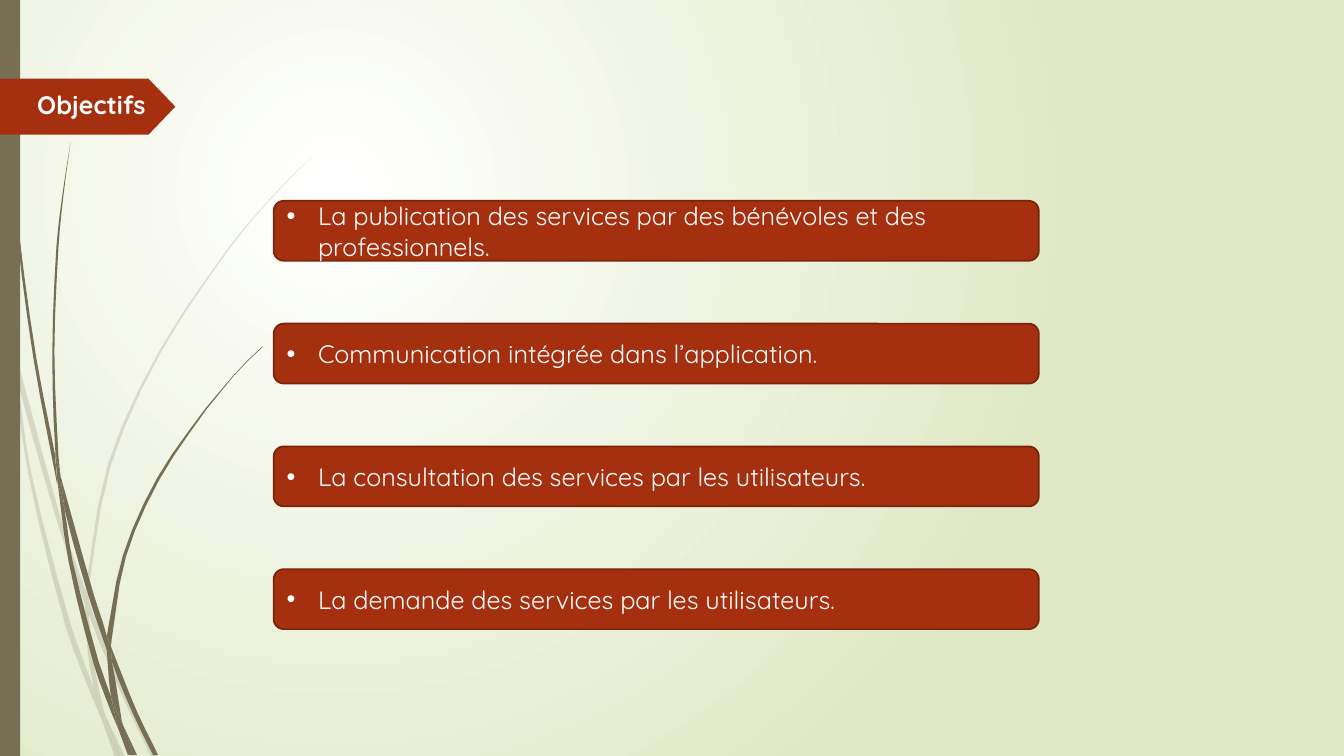
from pptx import Presentation
from pptx.dml.color import RGBColor
from pptx.enum.shapes import MSO_SHAPE
from pptx.enum.text import MSO_ANCHOR, PP_ALIGN
from pptx.oxml import parse_xml
from pptx.oxml.ns import nsdecls
from pptx.util import Pt

# Content
TITLE = "Objectifs"
GOALS = [
    "La publication des services par des bénévoles et des professionnels.",
    "Communication intégrée dans l’application.",
    "La consultation des services par les utilisateurs.",
    "La demande des services par les utilisateurs.",
]

# Style
FONT = "Quicksand"
WHITE, GREEN, OLIVE, RUST, DARK_RUST = "FFFFFF", "DFE8C4", "766F54", "A53010", "7A240C"
WIDTH, HEIGHT = 960, 540

# Blades of grass: left edge and right edge, each from top to bottom
PALE_BLADES = [
    ([(0, 215.3), (7.2, 247.7), (7.9, 252)], [(0, 203), (6.5, 231.8), (7.9, 252)]),
    ([(10.1, 248.4), (12.2, 270.7), (41.8, 375.8), (60.5, 431.3)],
     [(10.1, 248.4), (44.6, 374.4), (61.2, 421.9)]),
    ([(63.4, 429.1), (63.4, 439.2), (88.6, 499.7), (108, 540.7)],
     [(63.4, 429.1), (66.2, 437), (91.4, 498.2), (111.6, 540.7)]),
    ([(75.6, 511.9), (85.7, 540.7)], [(75.6, 511.9), (89.3, 540.7)]),
    ([(7.9, 252), (20.2, 338.4), (46.8, 447.1), (66.2, 499), (72.7, 514.1)],
     [(7.9, 252), (12.2, 270.7), (22.3, 337.7), (50.4, 445.7), (67, 491.8),
      (71.3, 509), (72.7, 514.1)]),
    ([(60.5, 431.3), (62.6, 465.1), (67, 491.8), (69.1, 498.2), (75.6, 511.9)],
     [(60.5, 431.3), (63.4, 439.2), (65.5, 465.1), (74.2, 508.3), (75.6, 511.9)]),
    ([(224.6, 110.2), (208.1, 126), (193, 141.8), (164.2, 175.7), (113.8, 250.6),
      (77, 331.9), (61.2, 420.5), (61.2, 421.9)],
     [(224.6, 110.2), (208.8, 126), (193, 142.6), (164.9, 176.4), (115.2, 251.3),
      (79.2, 332.6), (63.4, 420.5), (63.4, 429.1)]),
    ([(72.7, 514.1), (82.1, 540.7)], [(72.7, 514.1), (85.7, 540.7)]),
    ([(61.2, 421.9), (60.5, 431.3)], [(61.2, 421.9), (63.4, 429.1), (63.4, 439.2)]),
    ([(67, 491.8), (71.3, 509), (72.7, 514.1), (85.7, 540.7)],
     [(67, 491.8), (69.1, 498.2), (75.6, 511.9), (85.7, 540.7)]),
]
DARK_BLADES = [
    ([(2.2, 0), (2.9, 34.6), (5, 79.2), (12.2, 167.8), (23.8, 255.6), (40.3, 343.4),
      (41, 346.3)],
     [(2.9, 0), (3.6, 34.6), (5.8, 78.5), (13.7, 167), (25.9, 255.6), (39.6, 326.2),
      (39.6, 329), (41, 346.3)]),
    ([(43.2, 339.8), (46.1, 363.6), (63.4, 426.2), (76.3, 464.4)],
     [(43.2, 339.8), (67, 424.8), (76.3, 454.3), (76.3, 464.4)]),
    ([(79.2, 461.5), (79.9, 472.3), (95, 509.8), (109.4, 539.3)],
     [(79.2, 461.5), (81.4, 467.3), (97.9, 508.3), (113, 539.3)]),
    ([(41, 343.4), (49, 401), (67, 474.5), (79.9, 509.8), (84.2, 519.8)],
     [(41, 343.4), (46.1, 363.6), (51.8, 400.3), (70.6, 473), (79.2, 497.5),
      (83.5, 516.2), (84.2, 519.8)]),
    ([(50.4, 101.5), (44.6, 139), (40.3, 176.4), (37.4, 251.3), (39.6, 323.3),
      (43.2, 339.8)],
     [(50.4, 101.5), (45.4, 139), (41.8, 176.4), (38.9, 251.3), (41.8, 326.2),
      (43.2, 339.8)]),
    ([(87.8, 517.7), (95.8, 539.3)], [(87.8, 517.7), (97.9, 539.3)]),
    ([(39.6, 323.3), (39.6, 326.2), (41, 343.4), (46.1, 363.6)],
     [(39.6, 323.3), (43.2, 339.8), (46.1, 363.6)]),
    ([(187.2, 247.7), (176.4, 257.8), (166.3, 268.6), (146.9, 291.6), (112.3, 341.3),
      (87.8, 396.7), (76.3, 454.3)],
     [(187.9, 247.7), (176.4, 258.5), (166.3, 269.3), (147.6, 292.3), (113.8, 342.7),
      (90, 397.4), (79.9, 455.8), (79.2, 461.5)]),
    ([(84.2, 519.8), (91.4, 539.3)], [(84.2, 519.8), (94.3, 539.3)]),
    ([(76.3, 464.4), (79.2, 497.5), (83.5, 508.3), (87.8, 517.7)],
     [(76.3, 464.4), (79.9, 472.3), (87.1, 515.5), (87.8, 517.7)]),
    ([(76.3, 454.3), (76.3, 464.4)], [(76.3, 454.3), (79.2, 461.5), (79.9, 472.3)]),
    ([(79.2, 497.5), (83.5, 516.2), (84.2, 519.8), (93.6, 539.3)],
     [(79.2, 497.5), (83.5, 508.3), (87.8, 517.7), (95.8, 539.3)]),
]


def color(value):
    return RGBColor.from_string(value)


def paint(shape, fill, line=None, opacity=None):
    shape.shadow.inherit = False
    shape.fill.solid()
    shape.fill.fore_color.rgb = color(fill)
    if opacity is not None:
        tint = shape.fill._xPr.find(".//{*}srgbClr")
        tint.append(parse_xml(f'<a:alpha {nsdecls("a")} val="{opacity * 1000}"/>'))
    if line:
        shape.line.color.rgb = color(line)
        shape.line.width = Pt(1.25)
    else:
        shape.line.fill.background()


def add_block(kind, left, top, width, height, **style):
    block = page.shapes.add_shape(kind, Pt(left), Pt(top), Pt(width), Pt(height))
    paint(block, **style)
    return block


def write(shape, text, size=18, bold=False, bullet=False, margin=0,
          anchor=MSO_ANCHOR.MIDDLE):
    frame = shape.text_frame
    frame.word_wrap = True
    frame.vertical_anchor = anchor
    para = frame.paragraphs[0]
    para.alignment = PP_ALIGN.LEFT
    span = para.add_run()
    span.text = text
    span.font.name, span.font.size, span.font.bold = FONT, Pt(size), bold
    span.font.color.rgb = color(WHITE)
    layout = para._p.get_or_add_pPr()
    layout.set("marL", str(Pt(margin)))
    layout.set("indent", str(-Pt(margin) if bullet else 0))
    if bullet:
        layout.append(parse_xml(f'<a:buFont {nsdecls("a")} typeface="Arial"/>'))
        layout.append(parse_xml(f'<a:buChar {nsdecls("a")} char="•"/>'))


def smooth(knots):
    """Points on a smooth curve through the knots; long stretches get three steps."""
    last = len(knots) - 1
    slopes = []
    for i in range(last + 1):
        (x0, y0), (x1, y1) = knots[max(i - 1, 0)], knots[min(i + 1, last)]
        slopes.append((x1 - x0) / (y1 - y0))
    points = []
    for i in range(last):
        (x0, y0), (x1, y1) = knots[i], knots[i + 1]
        drop = y1 - y0
        steps = 3 if drop > 25 else 1
        for t in [step / steps for step in range(steps)]:
            ease = t * t * (3 - 2 * t)
            bend = t * (1 - t) * ((1 - t) * slopes[i] - t * slopes[i + 1])
            points.append((x0 + (x1 - x0) * ease + drop * bend, y0 + drop * t))
    return points + [knots[-1]]


def add_blade(left, right, **style):
    outline = [(Pt(x), Pt(y)) for x, y in smooth(left) + smooth(right)[::-1]]
    builder = page.shapes.build_freeform(*outline[0], scale=1.0)
    builder.add_line_segments(outline[1:], close=True)
    paint(builder.convert_to_shape(), **style)


deck = Presentation()
deck.slide_width, deck.slide_height = Pt(WIDTH), Pt(HEIGHT)
page = deck.slides.add_slide(deck.slide_layouts[5])

# Background glow
page._element.cSld.insert(0, parse_xml(
    f'<p:bg {nsdecls("p", "a")}><p:bgPr><a:gradFill rotWithShape="1"><a:gsLst>'
    f'<a:gs pos="0"><a:srgbClr val="{WHITE}"/></a:gs>'
    f'<a:gs pos="100000"><a:srgbClr val="{GREEN}"/></a:gs></a:gsLst>'
    '<a:path path="circle"><a:fillToRect l="50000" t="50000" r="100000" b="100000"/>'
    '</a:path></a:gradFill><a:effectLst/></p:bgPr></p:bg>'))

# Grass and side band
for blade in PALE_BLADES:
    add_blade(*blade, fill=OLIVE, opacity=20)
for blade in DARK_BLADES:
    add_blade(*blade, fill=OLIVE)
add_block(MSO_SHAPE.RECTANGLE, 0, 0, 14.4, HEIGHT, fill=OLIVE)

# Title on its flag
flag = add_block(MSO_SHAPE.PENTAGON, 0, 56.2, 125.3, 40, fill=RUST)
flag.adjustments[0] = 0.48
title = page.shapes.title
title.left, title.top, title.width, title.height = Pt(-16.6), Pt(2.2), Pt(441.4), Pt(87.1)
write(title, TITLE, bold=True, margin=36, anchor=MSO_ANCHOR.BOTTOM)
page.shapes._spTree.append(title._element)

# Goals
BAR_TOP, BAR_STEP = 143.5, 87.7
for index, goal in enumerate(GOALS):
    bar = add_block(MSO_SHAPE.ROUNDED_RECTANGLE, 195.5, BAR_TOP + index * BAR_STEP,
                    546.5, 42.8, fill=RUST, line=DARK_RUST)
    write(bar, goal, bullet=True, margin=22.5)

deck.save("out.pptx")
